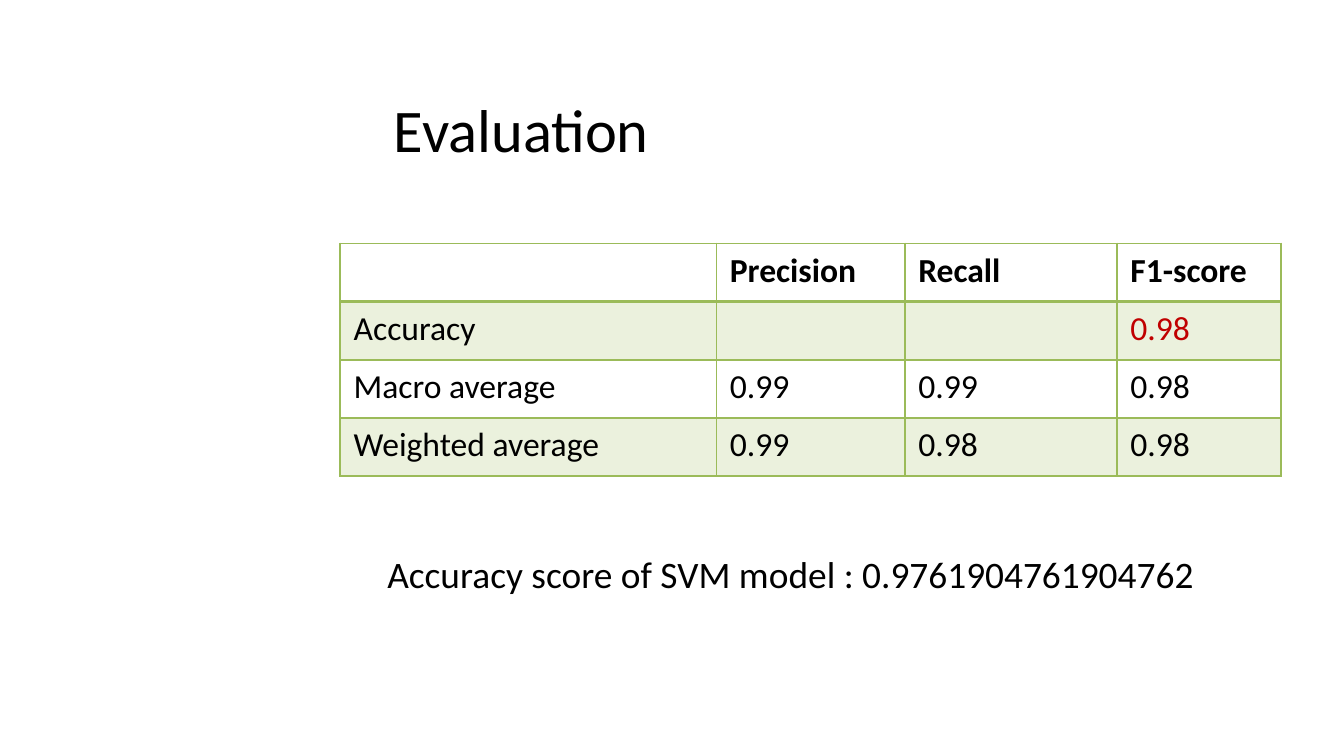
from lxml.etree import SubElement
from pptx import Presentation
from pptx.dml.color import RGBColor
from pptx.enum.text import MSO_ANCHOR as Anchor, PP_ALIGN as Align
from pptx.oxml import parse_xml
from pptx.oxml.ns import nsdecls, qn
from pptx.util import Cm, Pt

COLORS = {"text": "000000", "accent": "9BBB59", "highlight": "C00000"}
HEADERS = ["", "Precision", "Recall", "F1-score"]
SCORES = [
    ["Accuracy", "", "", "0.98"],
    ["Macro average", "0.99", "0.99", "0.98"],
    ["Weighted average", "0.99", "0.98", "0.98"],
]
COLUMN_WIDTHS = [7.11, 3.56, 4.01, 3.1]
ROW_HEIGHT = 1.1


class SlideBuilder:
    font_name = "Calibri"

    def __init__(self, deck):
        self.slide = deck.slides.add_slide(deck.slide_layouts[5])

    def style(self, paragraph, size, color="text", bold=False):
        paragraph.alignment = Align.LEFT
        font = paragraph.font
        font.name, font.size, font.bold = self.font_name, Pt(size), bold
        font.color.rgb = RGBColor.from_string(COLORS[color])

    def title(self, text, left, top, width, height):
        heading = self.slide.shapes.title
        heading.left, heading.top = Cm(left), Cm(top)
        heading.width, heading.height = Cm(width), Cm(height)
        heading.text_frame.text = text
        heading.text_frame.vertical_anchor = Anchor.MIDDLE
        self.style(heading.text_frame.paragraphs[0], 32.4)

    def text(self, text, left, top, width, height):
        frame = self.slide.shapes.add_textbox(
            Cm(left), Cm(top), Cm(width), Cm(height)).text_frame
        frame.word_wrap = True
        frame.margin_left = frame.margin_right = 0
        frame.margin_top = frame.margin_bottom = 0
        frame.text = text
        self.style(frame.paragraphs[0], 20)

    def table(self, rows, left, top):
        table = self.slide.shapes.add_table(
            len(rows), len(COLUMN_WIDTHS), Cm(left), Cm(top),
            Cm(sum(COLUMN_WIDTHS)), Cm(ROW_HEIGHT * len(rows))).table
        table.horz_banding = False
        for column, width in zip(table.columns, COLUMN_WIDTHS):
            column.width = Cm(width)
        for r, values in enumerate(rows):
            table.rows[r].height = Cm(ROW_HEIGHT)
            for c, value in enumerate(values):
                cell = table.cell(r, c)
                cell.text = value
                is_accuracy = r == 1 and c == len(values) - 1
                self.style(cell.text_frame.paragraphs[0], 18,
                           "highlight" if is_accuracy else "text", r == 0)
                self.fill(cell, banded=r % 2 == 1)
                self.borders(cell, top=2 if r == 1 else 1,
                             bottom=2 if r == 0 else 1)

    def fill(self, cell, banded):
        if not banded:
            cell.fill.background()
            return
        cell.fill.solid()
        cell.fill.fore_color.rgb = RGBColor.from_string(COLORS["accent"])
        tint = cell._tc.tcPr.find(f".//{qn('a:srgbClr')}")
        SubElement(tint, qn("a:alpha"), val="20000")

    def borders(self, cell, top, bottom):
        widths = {"lnL": 1, "lnR": 1, "lnT": top, "lnB": bottom}
        for position, (side, width) in enumerate(widths.items()):
            cell._tc.tcPr.insert(position, parse_xml(
                f'<a:{side} {nsdecls("a")} w="{Pt(width)}"><a:solidFill>'
                f'<a:srgbClr val="{COLORS["accent"]}"/>'
                f'</a:solidFill></a:{side}>'))


def main():
    deck = Presentation()
    deck.slide_width, deck.slide_height = Cm(25.4), Cm(14.29)
    builder = SlideBuilder(deck)
    builder.title("Evaluation", 7.19, 1.63, 16.94, 1.6)
    builder.table([HEADERS] + SCORES, 6.43, 4.6)
    builder.text("Accuracy score of SVM model : 0.9761904761904762",
                 7.32, 10.42, 17.25, 2.31)
    deck.save("out.pptx")


if __name__ == "__main__":
    main()
